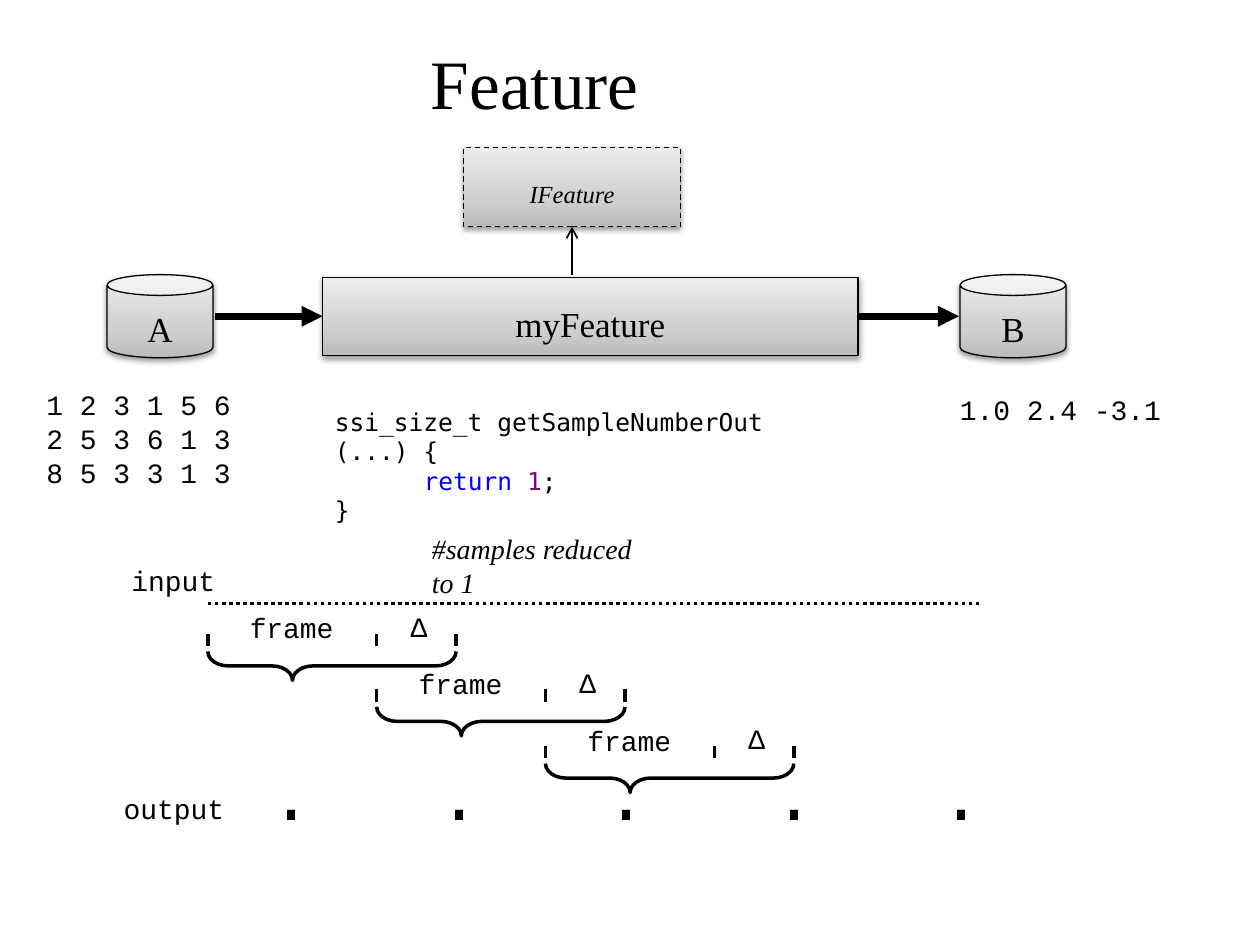
from dataclasses import dataclass

from lxml import etree
from pptx import Presentation
from pptx import util as u
from pptx.dml.color import RGBColor
from pptx.enum import dml, shapes, text
from pptx.oxml.ns import qn

EMU_PER_PX = 9144


@dataclass(frozen=True)
class Theme:
    ink: str = "000000"
    keyword: str = "0000FF"
    number: str = "800080"
    gradient: tuple = ((0, "BCBCBC"), (35, "D0D0D0"), (100, "EDEDED"))
    serif: str = "Times New Roman"
    mono: str = "Courier New"
    code: str = "DejaVu Sans Mono"
    title_size: float = 39.6
    dot_size: int = 40
    node_size: int = 20
    body_size: int = 16
    small_size: int = 14


THEME = Theme()


def px(*values):
    return [u.Emu(value * EMU_PER_PX) for value in values]


def add_xml(parent, tag, **attributes):
    return etree.SubElement(parent, qn(tag), {key: str(value) for key, value in attributes.items()})


def write_text(frame, lines, size=THEME.body_size, font=THEME.mono, italic=False,
               align=text.PP_ALIGN.LEFT, tab_gap=0):
    for index, line in enumerate(lines):
        paragraph = frame.paragraphs[0] if index == 0 else frame.add_paragraph()
        paragraph.alignment = align
        runs = [(line, THEME.ink)] if isinstance(line, str) else line
        if tab_gap:
            tab_list = add_xml(paragraph._p.get_or_add_pPr(), "a:tabLst")
            for stop in range(1, line.count("\t") + 1):
                add_xml(tab_list, "a:tab", pos=px(tab_gap * stop)[0], algn="l")
        for words, color in runs:
            run = paragraph.add_run()
            run.text = words
            run.font.size = u.Pt(size)
            run.font.name = font
            run.font.italic = italic
            run.font.color.rgb = RGBColor.from_string(color)


def add_text(parent, box, lines, wrap=True, **text_format):
    frame = parent.add_textbox(*px(*box)).text_frame
    frame.word_wrap = wrap
    write_text(frame, lines, **text_format)


def add_label(parent, box, words):
    add_text(parent, box, [words], wrap=False, align=text.PP_ALIGN.CENTER)


def style_line(line, width, dash=None):
    line.color.rgb = RGBColor.from_string(THEME.ink)
    line.width = u.Pt(width)
    if dash:
        line.dash_style = dash


def add_line(parent, start, end, width=2, dash=None, arrowhead=None):
    connector = parent.add_connector(shapes.MSO_CONNECTOR.STRAIGHT, *px(*start, *end))
    style_line(connector.line, width, dash)
    if arrowhead:
        add_xml(connector.line._get_or_add_ln(), "a:tailEnd", type=arrowhead)
    add_xml(connector._element.spPr, "a:effectLst")
    return connector


def add_node(parent, kind, box, label, size=THEME.node_size, italic=False, dash=None):
    node = parent.add_shape(kind, *px(*box))
    node.fill.gradient()
    node.fill.gradient_angle = 90
    properties = node._element.spPr
    stops = properties.find(".//" + qn("a:gsLst"))
    for stop in list(stops):
        stops.remove(stop)
    for position, color in THEME.gradient:
        add_xml(add_xml(stops, "a:gs", pos=position * 1000), "a:srgbClr", val=color)
    style_line(node.line, 0.75, dash)
    shadow = add_xml(add_xml(properties, "a:effectLst"), "a:outerShdw", blurRad=40000,
                     dist=20000, dir=5400000, rotWithShape=0)
    add_xml(add_xml(shadow, "a:srgbClr", val=THEME.ink), "a:alpha", val=38000)
    frame = node.text_frame
    frame.margin_left, frame.margin_top, frame.margin_right, frame.margin_bottom = px(10, 16, 10, 5)
    frame.vertical_anchor = text.MSO_ANCHOR.MIDDLE
    frame.word_wrap = False
    write_text(frame, [label], size=size, font=THEME.serif, italic=italic,
               align=text.PP_ALIGN.CENTER)
    return node


def add_window(parent, x, y):
    for tick in (0, 134, 197):
        add_line(parent, (x + tick, y), (x + tick, y + 10))
    add_label(parent, (x + 23, y - 23, 87, 37), "frame")
    add_label(parent, (x + 150, y - 24, 35, 37), "Δ")
    brace = parent.add_shape(shapes.MSO_SHAPE.LEFT_BRACE, *px(x + 87, y - 73, 23, 197))
    brace.rotation = 270
    brace.adjustments[0] = 0.705
    brace.adjustments[1] = 0.341
    brace.fill.background()
    brace.shadow.inherit = False
    style_line(brace.line, 2)


def add_title(slide, words):
    title = slide.shapes.title
    title.left, title.top, title.width, title.height = px(133, 30, 583, 70)
    title.text_frame.vertical_anchor = text.MSO_ANCHOR.MIDDLE
    write_text(title.text_frame, [words], size=THEME.title_size, font=THEME.serif,
               align=text.PP_ALIGN.CENTER)


def add_timeline(slide):
    timeline = slide.shapes.add_group_shape().shapes
    add_line(timeline, (165, 479), (779, 479), dash=dml.MSO_LINE.ROUND_DOT)
    add_label(timeline, (94, 442, 87, 37), "input")
    for step in range(3):
        add_window(timeline, 165 + 134 * step, 503 + 89 * step // 2)
    add_label(timeline, (88, 623, 100, 37), "output")
    add_text(timeline, (205, 591, 590, 77), ["\t".join("." * 5)], size=THEME.dot_size, tab_gap=133)


def add_samples(slide):
    code = [
        "ssi_size_t getSampleNumberOut (...) {",
        [("      ", THEME.ink), ("return ", THEME.keyword), ("1", THEME.number), (";", THEME.ink)],
        "}",
    ]
    add_text(slide.shapes, (256, 318, 424, 128), code, size=THEME.small_size, font=THEME.code)
    add_text(slide.shapes, (333, 417, 200, 37), ["#samples reduced to 1"], font=THEME.serif,
             italic=True)
    add_text(slide.shapes, (27, 303, 173, 90), ["1 2 3 1 5 6", "2 5 3 6 1 3", "8 5 3 3 1 3"])
    add_text(slide.shapes, (752, 307, 205, 37), ["1.0 2.4 -3.1"])


def add_pipeline(slide):
    parent = slide.shapes
    for x, label in ((85, "A"), (762, "B")):
        add_node(parent, shapes.MSO_SHAPE.CAN, (x, 218, 84, 66), label)
    feature = add_node(parent, shapes.MSO_SHAPE.RECTANGLE, (256, 220, 425, 62), "myFeature")
    interface = add_node(parent, shapes.MSO_SHAPE.RECTANGLE, (368, 117, 172, 63), "IFeature",
                         size=THEME.small_size, italic=True, dash=dml.MSO_LINE.DASH)
    incoming = add_line(parent, (171, 251), (255, 251), width=4, arrowhead="triangle")
    incoming.end_connect(feature, 1)
    outgoing = add_line(parent, (683, 251), (761, 251), width=4, arrowhead="triangle")
    outgoing.begin_connect(feature, 3)
    implements = add_line(parent, (454, 218), (454, 181), width=1, arrowhead="arrow")
    implements.end_connect(interface, 2)


def main():
    presentation = Presentation()
    presentation.slide_width, presentation.slide_height = px(1000, 750)
    slide = presentation.slides.add_slide(presentation.slide_layouts[5])
    add_title(slide, "Feature")
    add_timeline(slide)
    add_samples(slide)
    add_pipeline(slide)
    presentation.save("out.pptx")


if __name__ == "__main__":
    main()
